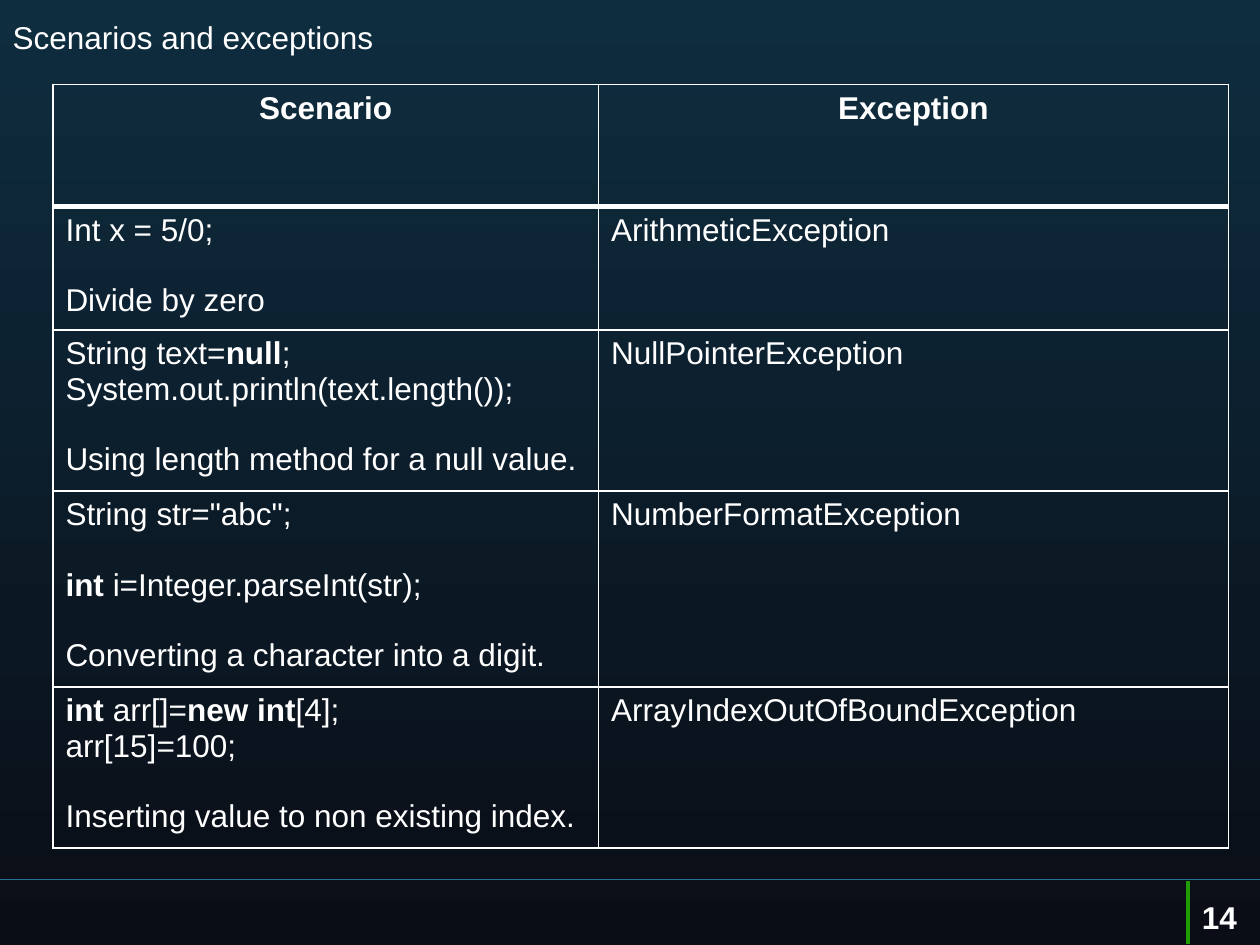
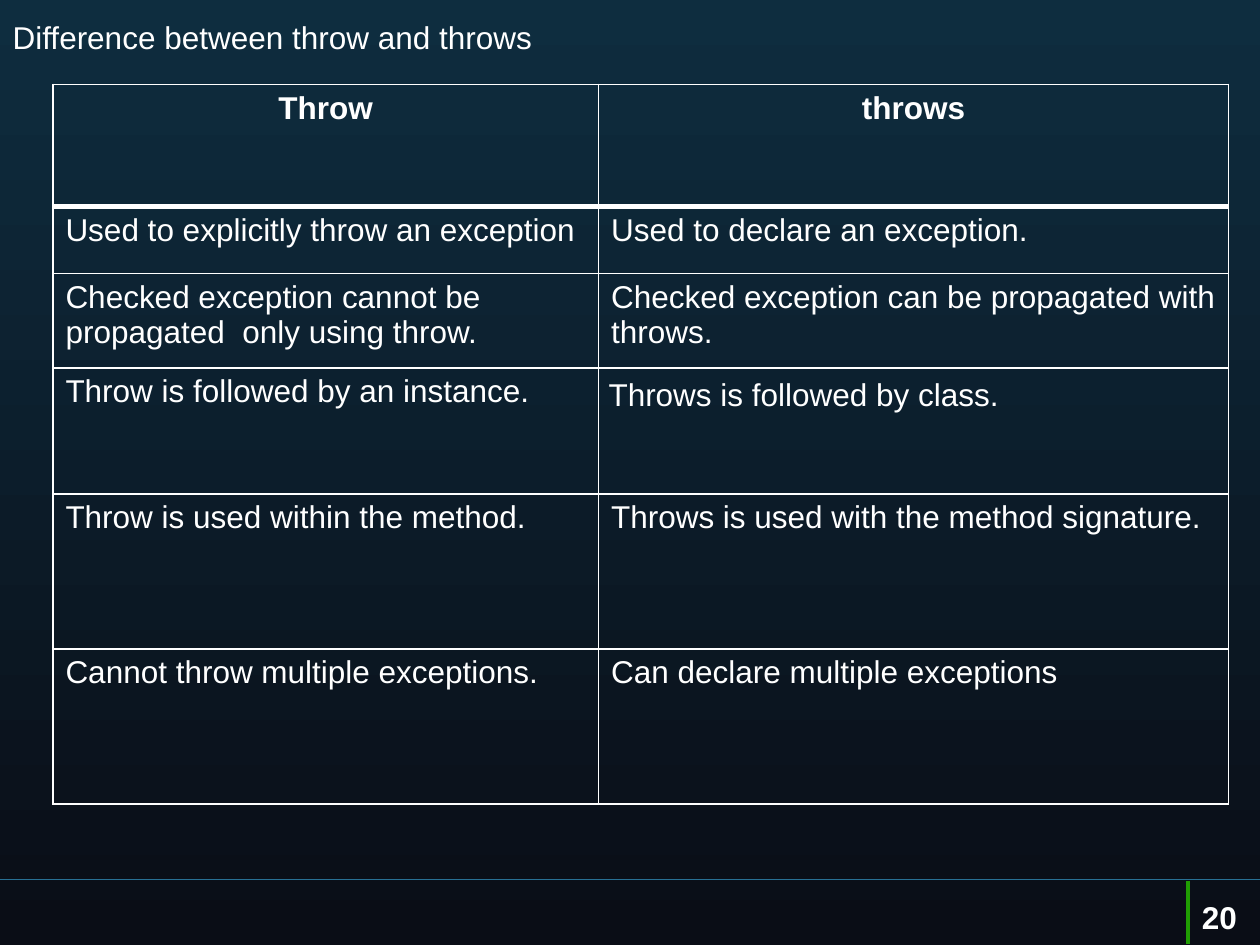
from lxml import etree
from pptx import Presentation
from pptx.dml.color import RGBColor
from pptx.enum.text import MSO_ANCHOR, PP_ALIGN
from pptx.oxml.ns import qn
from pptx.util import Inches, Pt

LEFT, CENTER = PP_ALIGN.LEFT, PP_ALIGN.CENTER
TOP, MIDDLE = MSO_ANCHOR.TOP, MSO_ANCHOR.MIDDLE

WHITE = RGBColor(0xFF, 0xFF, 0xFF)
NAVY = RGBColor(0x0E, 0x2D, 0x3F)
BLACK = RGBColor(0x0A, 0x0D, 0x16)
TEAL = RGBColor(0x28, 0x70, 0x94)
GREEN = RGBColor(0x20, 0x9D, 0x03)

FONT, SIZE = "Arial", 18
COLS = (4.33, 5)
THIN, THICK = 1, 3

CASES = [
    ("Scenario", "Exception"),
    ("Int x = 5/0;\n\nDivide by zero", "ArithmeticException"),
    ("String text=*null*;\nSystem.out.println(text.length());\n\n"
     "Using length method for a null value.", "NullPointerException"),
    ('String str="abc";\n\n*int* i=Integer.parseInt(str);\n\n'
     "Converting a character into a digit.", "NumberFormatException"),
    ("*int* arr[]=*new int*[4];\narr[15]=100;\n\n"
     "Inserting value to non existing index.",
     "ArrayIndexOutOfBoundException"),
]
THROWS = [
    ("Throw", "throws"),
    ("Used to explicitly throw an exception", "Used to declare an exception."),
    ("Checked exception cannot be propagated  only using throw.",
     "Checked exception can be propagated with throws."),
    ("Throw is followed by an instance.", "Throws is followed by class."),
    ("Throw is used within the method.",
     "Throws is used with the method signature."),
    ("Cannot throw multiple exceptions.", "Can declare multiple exceptions"),
]


def write(frame, text, bold=False, align=LEFT, anchor=TOP):
    """Fill a frame; *stars* switch bold, an empty line makes a gap."""
    frame.word_wrap = True
    frame.vertical_anchor = anchor
    para, gap = None, 0
    for line in text.split("\n"):
        if not line:
            gap = SIZE + 2
            continue
        para = frame.add_paragraph() if para else frame.paragraphs[0]
        para.alignment = align
        para.space_before = Pt(gap)
        gap = 0
        for i, part in enumerate(line.split("*")):
            if part:
                run = para.add_run()
                run.text = part
                font = run.font
                font.name, font.size = FONT, Pt(SIZE)
                font.bold = bold or i % 2 == 1
                font.color.rgb = WHITE


def add_rule(slide, start, end, color, width):
    rule = slide.shapes.add_connector(1, *map(Inches, start + end))
    rule.line.color.rgb = color
    rule.line.width = Pt(width)
    etree.SubElement(rule._element.spPr, qn("a:effectLst"))


def set_edge(cell, side, width):
    props = cell._tc.get_or_add_tcPr()
    edge = etree.SubElement(props, qn(f"a:ln{side}"), w=str(Pt(width)))
    fill = etree.SubElement(edge, qn("a:solidFill"))
    etree.SubElement(fill, qn("a:srgbClr"), val=str(WHITE))


def add_grid(slide, rows, heights):
    frame = slide.shapes.add_table(
        len(rows), len(COLS), Inches(0.42), Inches(0.67),
        Inches(sum(COLS)), Inches(sum(heights)))
    table = frame.table
    table.horz_banding = False
    for col, width in zip(table.columns, COLS):
        col.width = Inches(width)
    for r, (row, height) in enumerate(zip(rows, heights)):
        table.rows[r].height = Inches(height)
        head = r == 0
        for c, text in enumerate(row):
            cell = table.cell(r, c)
            write(cell.text_frame, text, bold=head,
                  align=CENTER if head else LEFT)
            for side in "LRTB":
                under = (r, side) in ((0, "B"), (1, "T"))
                set_edge(cell, side, THICK if under else THIN)
            cell.fill.background()
    return table


def set_back(master):
    fill = master.background.fill
    fill.gradient()
    fill.gradient_angle = 270
    for stop, color, place in zip(fill.gradient_stops, (NAVY, BLACK), (0, 1)):
        stop.color.rgb = color
        stop.position = place


def add_page(prs, title, number):
    """Add a slide with its title, footer rules and page number."""
    slide = prs.slides.add_slide(prs.slide_layouts[5])
    add_rule(slide, (10, 6.98), (0, 6.98), TEAL, 0.75)
    add_rule(slide, (9.43, 6.99), (9.43, 7.49), GREEN, 2)
    head = slide.shapes.title
    head.left, head.top = Inches(0), Inches(0)
    head.width, head.height = Inches(7.5), Inches(0.58)
    write(head.text_frame, title, anchor=MIDDLE)
    box = slide.shapes.add_textbox(
        Inches(9.44), Inches(7.08), Inches(0.81), Inches(0.25))
    write(box.text_frame, str(number), bold=True)
    return slide


def main():
    prs = Presentation()
    prs.slide_width, prs.slide_height = Inches(10), Inches(7.5)
    set_back(prs.slide_master)

    slide = add_page(prs, "Scenarios and exceptions", 14)
    add_grid(slide, CASES, (0.97, 0.97, 1.23, 1.51, 1.23))

    slide = add_page(prs, "Difference between throw and throws", 20)
    table = add_grid(slide, THROWS, (0.97, 0.53, 0.75, 1, 1.23, 1.23))
    cell = table.cell(3, 1)
    cell.margin_left = cell.margin_right = Inches(0.08)
    cell.margin_top = cell.margin_bottom = Inches(0.08)

    prs.save("out.pptx")


if __name__ == "__main__":
    main()
